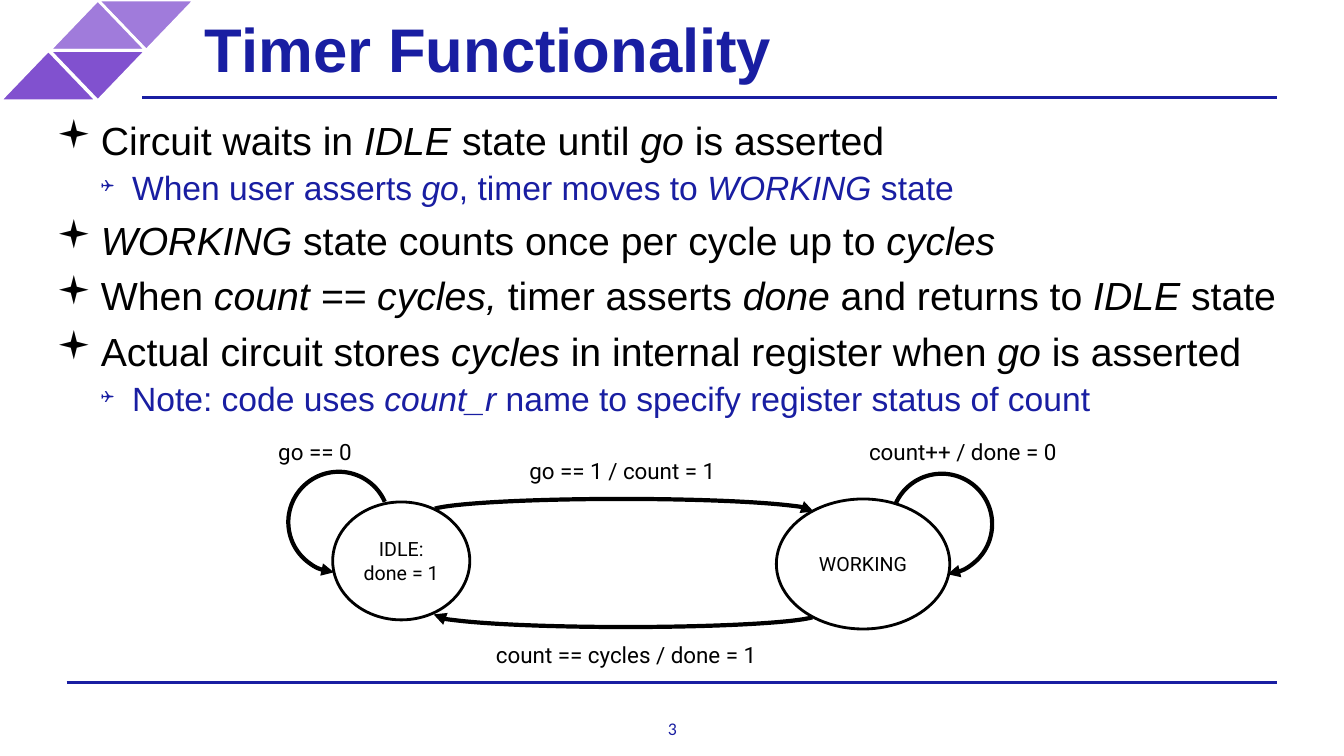
import pptx
import pptx.util
import pptx.dml.color
import pptx.enum.shapes
import pptx.enum.text
from lxml import etree
from pptx.oxml.ns import qn

Inches = pptx.util.Inches
Pt = pptx.util.Pt
Kind = pptx.enum.shapes.MSO_SHAPE
Align = pptx.enum.text.PP_ALIGN
Anchor = pptx.enum.text.MSO_ANCHOR

COLORS = {"navy": "191EA2", "light": "A07BDB", "deep": "8151CF",
          "white": "FFFFFF", "black": "000000"}
TITLE = {"size": Pt(44), "name": "Arial", "bold": True}
NUMBER = {"size": Pt(12.7), "name": "Calibri"}
LABEL = {"size": Pt(16), "name": "Roboto"}
STATE = {"size": Pt(14), "name": "Roboto"}

# Per level: text size, colour, left edge, hanging indent, space before, bullet, bullet size
LEVELS = [(28, "black", 0.5, -0.44, 6, "▪", 100),
          (24, "navy", 0.81, -0.31, 3, "❑", 50)]

# Asterisks enclose italic words
POINTS = [
    (0, "Circuit waits in *IDLE *state until *go *is asserted"),
    (1, "When user asserts *go*, timer moves to *WORKING *state"),
    (0, "*WORKING *state counts once per cycle up to *cycles*"),
    (0, "When *count == cycles, *timer asserts *done *and returns to *IDLE *state"),
    (0, "Actual circuit stores *cycles* in internal register when *go* is asserted"),
    (1, "Note: code uses *count_r* name to specify register status of count"),
]


def rgb(name):
    return pptx.dml.color.RGBColor.from_string(COLORS[name])


def box(at):
    return [Inches(value) for value in at]


def style(font, look, color):
    for key, value in look.items():
        setattr(font, key, value)
    font.color.rgb = rgb(color)


def setup(frame, inset, anchor=Anchor.MIDDLE, wrap=True):
    frame.word_wrap = wrap
    frame.vertical_anchor = anchor
    for side in ("left", "top", "right", "bottom"):
        setattr(frame, "margin_" + side, Inches(inset))


def write(frame, lines, look, color, align=Align.LEFT):
    for i, line in enumerate(lines):
        para = frame.paragraphs[0] if i == 0 else frame.add_paragraph()
        para.alignment = align
        run = para.add_run()
        run.text = line
        style(run.font, look, color)


def text(slide, at, words, look, color="black", inset=0.06,
         align=Align.LEFT, **options):
    frame = slide.shapes.add_textbox(*box(at)).text_frame
    setup(frame, inset, **options)
    write(frame, [words], look, color, align)


def shape(slide, kind, at, fill, line, width, turn=0):
    item = slide.shapes.add_shape(kind, *box(at))
    item.shadow.inherit = False
    item.rotation = turn
    if fill:
        item.fill.solid()
        item.fill.fore_color.rgb = rgb(fill)
    else:
        item.fill.background()
    item.line.color.rgb = rgb(line)
    item.line.width = Pt(width)
    return item


def rule(slide, left, top):
    line = slide.shapes.add_connector(
        pptx.enum.shapes.MSO_CONNECTOR.STRAIGHT, *box((left, top, 12.67, top)))
    line.line.color.rgb = rgb("navy")
    line.line.width = Pt(2)
    etree.SubElement(line._element.spPr, qn("a:effectLst"))


def state(slide, at, lines):
    item = shape(slide, Kind.OVAL, at, "white", "black", 2)
    setup(item.text_frame, 0.06)
    write(item.text_frame, lines, STATE, "black", Align.CENTER)


def arc(slide, at, turn, start, end="tailEnd"):
    item = shape(slide, Kind.ARC, at, None, "black", 3, turn)
    item.adjustments[0] = start
    item.adjustments[1] = 0
    line = item.line._get_or_add_ln()
    etree.SubElement(line, qn("a:" + end), type="triangle")


def bullet(para, level):
    size, color, left, hang, before, mark, scale = LEVELS[level]
    para.level = level
    para.space_before = Pt(before)
    props = para._p.get_or_add_pPr()
    props.set("marL", str(Inches(left)))
    props.set("indent", str(Inches(hang)))
    for tag, key, value in (("buSzPct", "val", str(scale * 1000)),
                            ("buFont", "typeface", "Wingdings"),
                            ("buChar", "char", mark)):
        etree.SubElement(props, qn("a:" + tag)).set(key, value)
    return {"size": Pt(size), "name": "Arial"}, color


def points(slide):
    frame = slide.shapes.add_textbox(*box((0.5, 1.15, 12.38, 1.53))).text_frame
    setup(frame, 0, Anchor.TOP)
    for i, (level, words) in enumerate(POINTS):
        para = frame.paragraphs[0] if i == 0 else frame.add_paragraph()
        look, color = bullet(para, level)
        for j, part in enumerate(words.split("*")):
            if part:
                run = para.add_run()
                run.text = part
                style(run.font, {**look, "italic": j % 2 == 1}, color)


def emblem(slide):
    for left, top, turn, fill in ((0.97, 0, 180, "light"), (0.49, 0, 0, "light"),
                                  (0.49, 0.5, 180, "deep"), (0, 0.5, 0, "deep")):
        shape(slide, Kind.ISOSCELES_TRIANGLE, (left, top, 0.96, 0.5),
              fill, "white", 2, turn)


def diagram(slide):
    state(slide, (3.3, 4.98, 1.36, 1.17), ["IDLE:", "done = 1"])
    state(slide, (7.7, 4.95, 1.72, 1.29), ["WORKING"])
    arc(slide, (4.26, 4.95, 3.81, 0.25), 0, 108.54)
    arc(slide, (4.3, 5.97, 3.81, 0.25), 180, 108.54)
    arc(slide, (8.84, 4.7, 1, 1), 83.4, 71.6)
    arc(slide, (2.86, 4.68, 1, 1), 336.1, 71.6, "headEnd")
    for left, top, width, words in (
            (4.86, 6.3, 2.93, "count == cycles / done = 1"),
            (5.19, 4.48, 2.19, "go == 1 / count = 1"),
            (8.56, 4.29, 2.07, "count++ / done = 0"),
            (2.7, 4.29, 1.97, "go == 0")):
        text(slide, (left, top, width, 0.38), words, LABEL)


def main():
    deck = pptx.Presentation()
    deck.slide_width, deck.slide_height = Inches(13.33), Inches(7.5)
    slide = deck.slides.add_slide(deck.slide_layouts[6])
    rule(slide, 0.66, 6.77)
    emblem(slide)
    rule(slide, 1.41, 0.97)
    text(slide, (1.89, 0, 10.08, 0.95), "Timer Functionality", TITLE, "navy", 0.14)
    text(slide, (6.62, 7.12, 0.1, 0.21), "3", NUMBER, "navy", 0,
         Align.CENTER, anchor=Anchor.TOP, wrap=False)
    points(slide)
    diagram(slide)
    deck.save("out.pptx")


if __name__ == "__main__":
    main()
